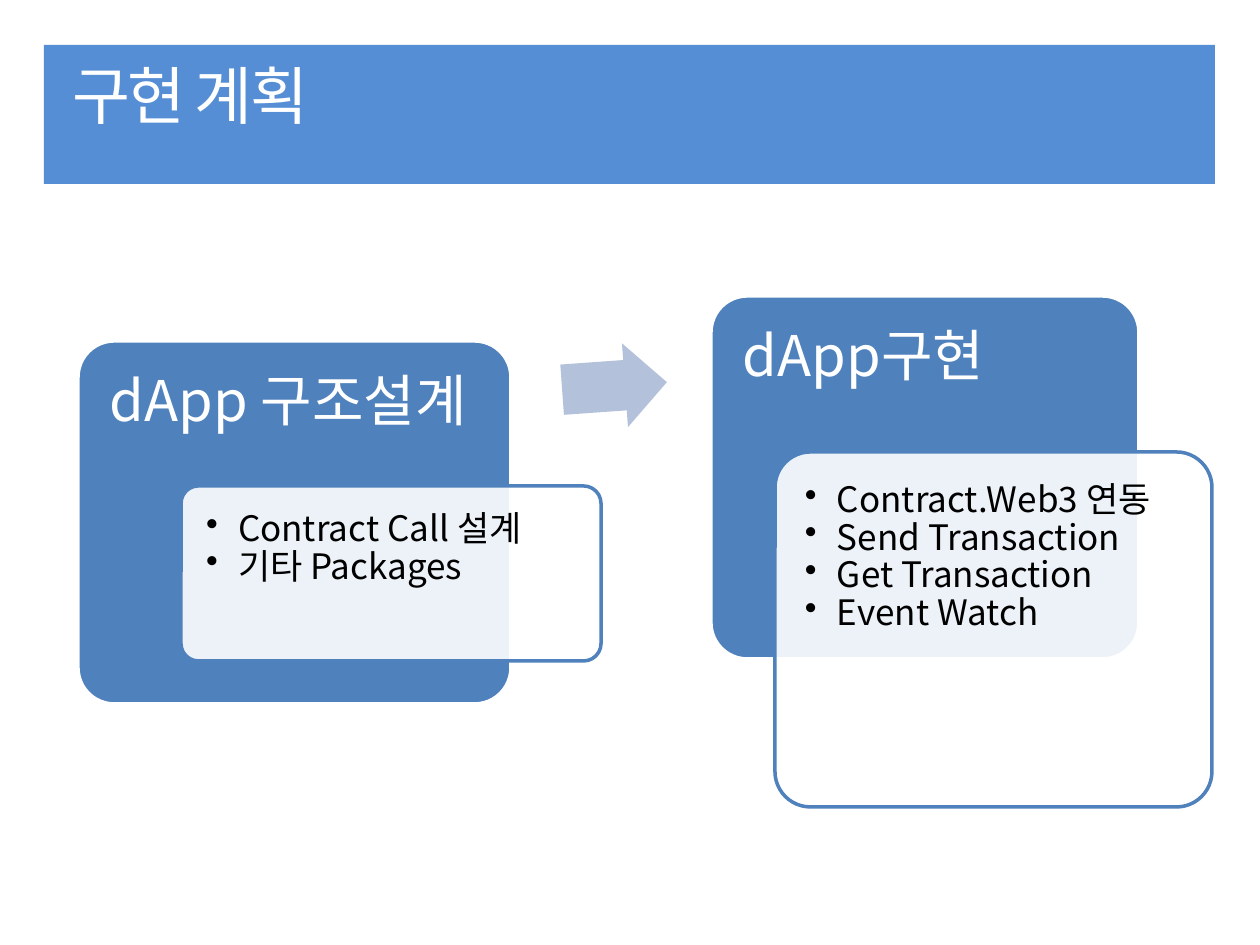
import pptx
import pptx.dml.color
import pptx.enum.shapes
import pptx.enum.text
import pptx.oxml.ns
import pptx.util
from lxml import etree

FONT = "Noto Sans CJK KR"
BLUE, WHITE, BLACK = "4F81BD", "FFFFFF", "000000"
PX = pptx.util.Inches(1) / 126
SHAPE = pptx.enum.shapes.MSO_SHAPE

TITLE = "구현 계획"
# Boxes are left, top, width, height in px; insets are left, top, right, bottom.
STEPS = [
    {"heading": "dApp 구조설계", "card": (78, 341, 433, 363),
     "detail": (181, 486, 420, 175), "padding": 5,
     "items": ["Contract Call 설계", "기타 Packages"]},
    {"heading": "dApp구현", "card": (711, 296, 428, 363),
     "detail": (775, 452, 437, 355), "padding": 10,
     "items": ["Contract.Web3 연동", "Send Transaction", "Get Transaction", "Event Watch"]},
]
HEADING_HEIGHT = 135
HEADING_INSETS = (32, 32, 0, 16)
ITEM_INSETS = (20, 20, 20, 20)
ITEM_INDENT = 32


def px(length):
    return pptx.util.Emu(round(length * PX))


def rgb(color):
    return pptx.dml.color.RGBColor.from_string(color)


def add_shape(kind, box, fill, line=None, adjustments=()):
    shape = slide.shapes.add_shape(kind, *map(px, box))
    shape.shadow.inherit = False
    shape.fill.solid()
    shape.fill.fore_color.rgb = rgb(fill)
    if line:
        shape.line.color.rgb = rgb(line)
        shape.line.width = pptx.util.Pt(2)
    else:
        shape.line.fill.background()
    for index, value in enumerate(adjustments):
        shape.adjustments[index] = value
    return shape


def set_opacity(shape, percent):
    color = shape.fill._xPr.find(".//" + pptx.oxml.ns.qn("a:srgbClr"))
    etree.SubElement(color, pptx.oxml.ns.qn("a:alpha"), val=str(percent * 1000))


def style(paragraph, size, color):
    paragraph.font.size = pptx.util.Pt(size)
    paragraph.font.name = FONT
    paragraph.font.color.rgb = rgb(color)
    properties = paragraph.font._element
    east_asian = etree.Element(pptx.oxml.ns.qn("a:ea"), typeface=FONT)
    properties.find(pptx.oxml.ns.qn("a:latin")).addnext(east_asian)
    for run in paragraph.runs:
        run.font.name = FONT
    paragraph.alignment = pptx.enum.text.PP_ALIGN.LEFT


def add_text(box, insets, lines, size, color):
    frame = slide.shapes.add_textbox(*map(px, box)).text_frame
    frame.word_wrap = True
    frame.margin_left, frame.margin_top, frame.margin_right, frame.margin_bottom = map(px, insets)
    frame.text = "\n".join(lines)
    for paragraph in frame.paragraphs:
        style(paragraph, size, color)
        paragraph.line_spacing = 0.9
    return frame


def add_bullet(paragraph):
    properties = paragraph._p.get_or_add_pPr()
    properties.set("marL", str(px(ITEM_INDENT)))
    properties.set("indent", str(-px(ITEM_INDENT)))
    bullet = etree.Element(pptx.oxml.ns.qn("a:buChar"), char="•")
    properties.find(pptx.oxml.ns.qn("a:lnSpc")).addnext(bullet)


def add_step(step):
    add_shape(SHAPE.ROUNDED_RECTANGLE, step["card"], BLUE, WHITE, [0.1])
    left, top, width, height = step["card"]
    add_text((left, top, width, HEADING_HEIGHT), HEADING_INSETS, [step["heading"]], 32, WHITE)

    detail = add_shape(SHAPE.ROUNDED_RECTANGLE, step["detail"], WHITE, BLUE, [0.1])
    set_opacity(detail, 90)
    left, top, width, height = step["detail"]
    pad = step["padding"]
    items = add_text((left + pad, top + pad, width - 2 * pad, height - 2 * pad),
                     ITEM_INSETS, step["items"], 20, BLACK)
    for paragraph in items.paragraphs:
        add_bullet(paragraph)


presentation = pptx.Presentation()
presentation.slide_width, presentation.slide_height = px(1260), px(945)
slide = presentation.slides.add_slide(presentation.slide_layouts[5])

band = add_shape(SHAPE.RECTANGLE, (44, 45, 1171, 139), "558ED5")
title = slide.shapes.title
band._element.addnext(title._element)  # the title lies over its band
title.left, title.top, title.width, title.height = map(px, (60, 50, 1134, 139))
title.text_frame.text = TITLE
title.text_frame.vertical_anchor = pptx.enum.text.MSO_ANCHOR.TOP
style(title.text_frame.paragraphs[0], 36, WHITE)
title.text_frame.paragraphs[0].runs[0].font._element.set("spc", "-150")

add_step(STEPS[0])
arrow = add_shape(SHAPE.RIGHT_ARROW, (562, 344, 105, 84), "B3C1DB", adjustments=[0.6, 0.5])
arrow.rotation = 355.9
add_step(STEPS[1])

presentation.save("out.pptx")
